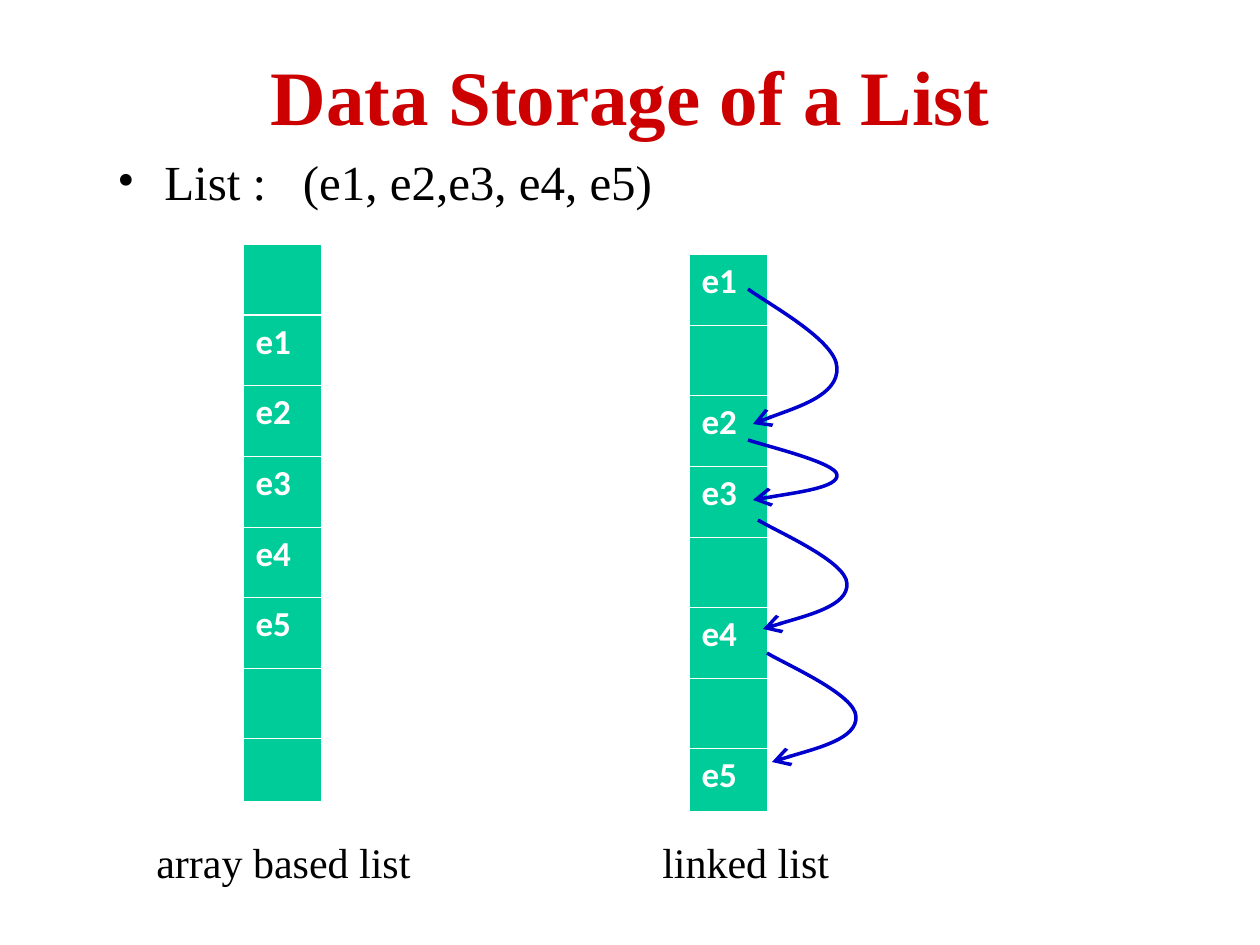
from lxml import etree
from pptx import Presentation
from pptx.dml.color import RGBColor
from pptx.enum.text import MSO_ANCHOR, PP_ALIGN
from pptx.oxml.ns import qn
from pptx.util import Pt

SCALE = 914400 / 126
CENTER = PP_ALIGN.CENTER
MIDDLE = MSO_ANCHOR.MIDDLE
RED = RGBColor(0xCC, 0x00, 0x00)
BLACK = RGBColor(0x00, 0x00, 0x00)
WHITE = RGBColor(0xFF, 0xFF, 0xFF)
GREEN = RGBColor(0x00, 0xCC, 0x99)
BLUE = RGBColor(0x00, 0x00, 0xCC)

SERIF = "Times New Roman"
TITLE = {"name": SERIF, "size": Pt(44), "bold": True, "color": RED}
BODY = {"name": SERIF, "size": Pt(28), "color": BLACK}
CAPTION = {"name": SERIF, "size": Pt(24), "color": BLACK}
CELL = {"name": "Calibri", "size": Pt(20), "bold": True, "color": WHITE}

ROW_HEIGHTS = [71, 70, 71, 71, 70, 71, 70, 63]
COLUMN_WIDTH = 78
THIN, THICK = 0.45, 1.47
ARRAY_CELLS = ["", "e1", "e2", "e3", "e4", "e5", "", ""]
LINKED_CELLS = ["e1", "", "e2", "e3", "", "e4", "", "e5"]
LINKS = [(748, 289, 135), (748, 440, 60), (758, 520, 109), (767, 653, 109)]
LINK_CURVE = [(20, 0.11), (88, 0.38), (89, 0.58),
              (91, 0.79), (24, 0.94), (5, 1)]


def px(n):
    return round(n * SCALE)


def add_run(p, text, fmt):
    r = p.add_run()
    r.text = text
    for key, value in fmt.items():
        if key == "color":
            r.font.color.rgb = value
        else:
            setattr(r.font, key, value)


def add_text(slide, box, text, fmt, wrap=True):
    sp = slide.shapes.add_textbox(*map(px, box))
    tf = sp.text_frame
    tf.word_wrap = wrap
    add_run(tf.paragraphs[0], text, fmt)
    return tf


def add_bullet(p, indent):
    pPr = p._p.get_or_add_pPr()
    pPr.set("marL", str(px(indent)))
    pPr.set("indent", str(-px(indent)))
    etree.SubElement(pPr, qn("a:buFont"), typeface=SERIF)
    etree.SubElement(pPr, qn("a:buChar"), char="•")


def set_borders(cell, top, bottom):
    tcPr = cell._tc.get_or_add_tcPr()
    widths = {"L": THIN, "R": THIN, "T": top, "B": bottom}
    for i, (side, width) in enumerate(widths.items()):
        ln = etree.Element(qn(f"a:ln{side}"), w=str(Pt(width)))
        fill = etree.SubElement(ln, qn("a:solidFill"))
        etree.SubElement(fill, qn("a:srgbClr"), val=str(WHITE))
        tcPr.insert(i, ln)


def add_memory(slide, left, top, values, thick_after=None):
    frame = slide.shapes.add_table(len(values), 1, px(left), px(top),
                                   px(COLUMN_WIDTH), px(sum(ROW_HEIGHTS)))
    table = frame.table
    table.first_row = table.horz_banding = False
    for i, (value, height) in enumerate(zip(values, ROW_HEIGHTS)):
        table.rows[i].height = px(height)
        cell = table.cell(i, 0)
        cell.fill.solid()
        cell.fill.fore_color.rgb = GREEN
        set_borders(cell, THICK if i - 1 == thick_after else THIN,
                    THICK if i == thick_after else THIN)
        if value:
            p = cell.text_frame.paragraphs[0]
            p.space_before = Pt(5)
            add_run(p, value, CELL)


def lines_to_curves(sp):
    lines = list(sp._element.iter(qn("a:lnTo")))
    for i in range(0, len(lines), 3):
        curve = etree.Element(qn("a:cubicBezTo"))
        lines[i].addprevious(curve)
        for line in lines[i:i + 3]:
            curve.append(line[0])
            line.getparent().remove(line)


def add_link(group, x, y, height):
    points = [(px(x + dx), px(y + f * height)) for dx, f in LINK_CURVE]
    fb = group.shapes.build_freeform(px(x), px(y))
    fb.add_line_segments(points, close=False)
    sp = fb.convert_to_shape()
    lines_to_curves(sp)
    sp.shadow.inherit = False
    sp.fill.background()
    sp.line.color.rgb = BLUE
    sp.line.width = Pt(2)
    etree.SubElement(sp.line._get_or_add_ln(), qn("a:tailEnd"),
                     type="arrow", w="lg", len="lg")


def main():
    prs = Presentation()
    prs.slide_width, prs.slide_height = px(1260), px(945)
    slide = prs.slides.add_slide(prs.slide_layouts[6])

    tf = add_text(slide, (95, 16, 1071, 158), "Data Storage of a List", TITLE)
    tf.vertical_anchor = MIDDLE
    tf.paragraphs[0].alignment = CENTER

    tf = add_text(slide, (105, 145, 1121, 567),
                  "List :   (e1, e2,e3, e4, e5)", BODY)
    tf.paragraphs[0].space_before = Pt(7)
    add_bullet(tf.paragraphs[0], 47)

    add_memory(slide, 243, 244, ARRAY_CELLS, thick_after=0)
    add_memory(slide, 689, 254, LINKED_CELLS)
    group = slide.shapes.add_group_shape()
    for link in LINKS:
        add_link(group, *link)

    add_text(slide, (144, 830, 280, 63), "array based list", CAPTION, False)
    add_text(slide, (650, 830, 192, 63), "linked list", CAPTION, False)
    prs.save("out.pptx")


if __name__ == "__main__":
    main()
